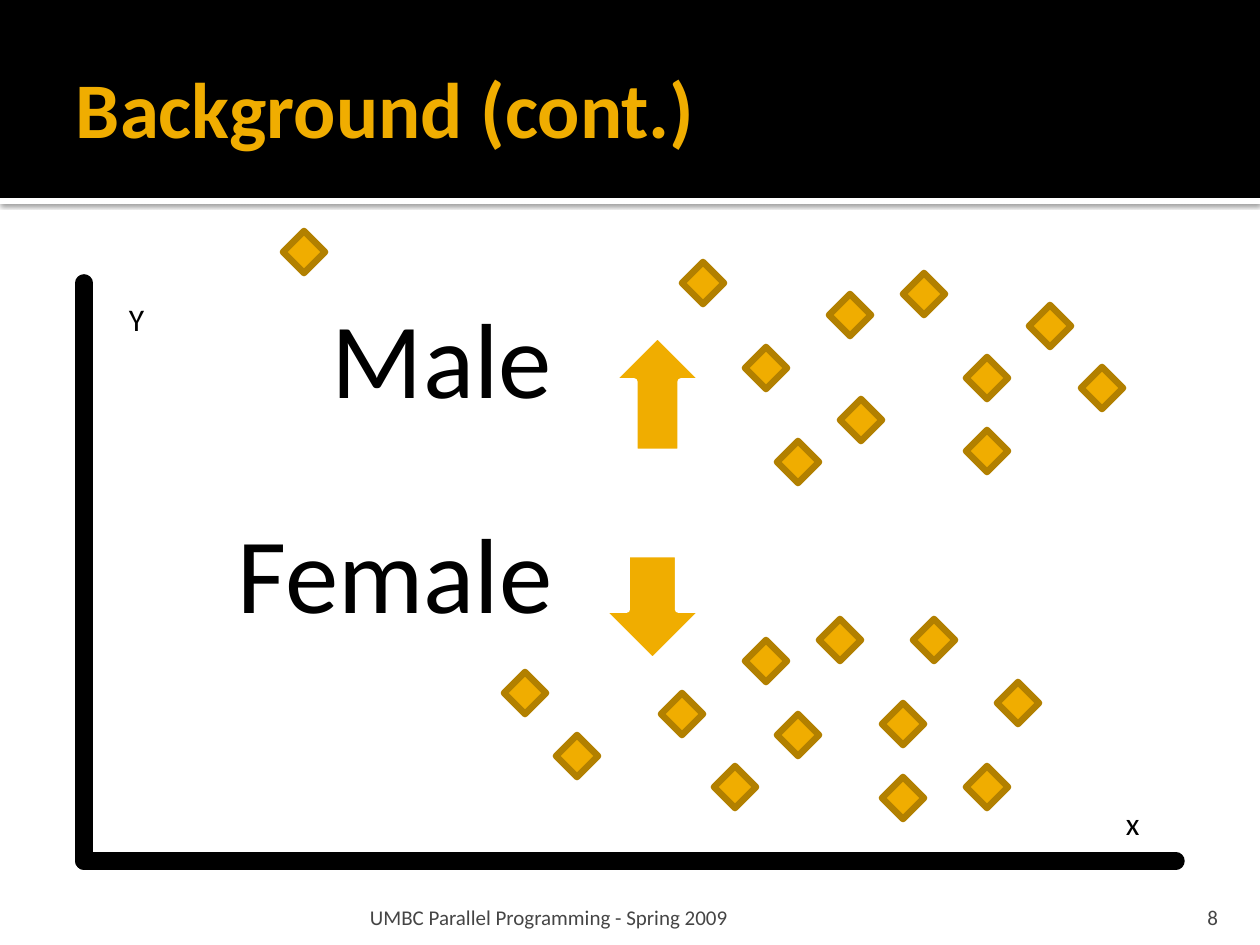
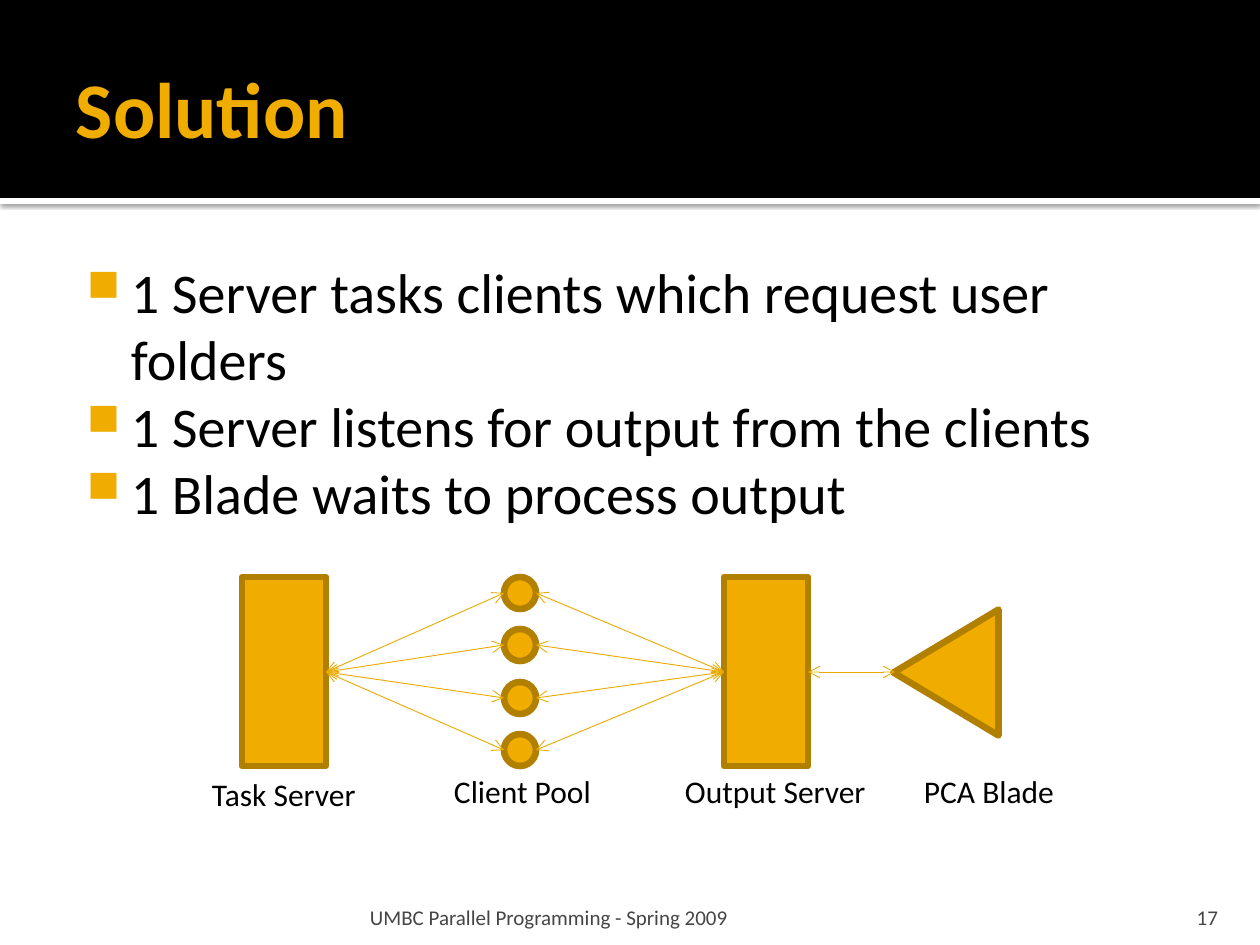
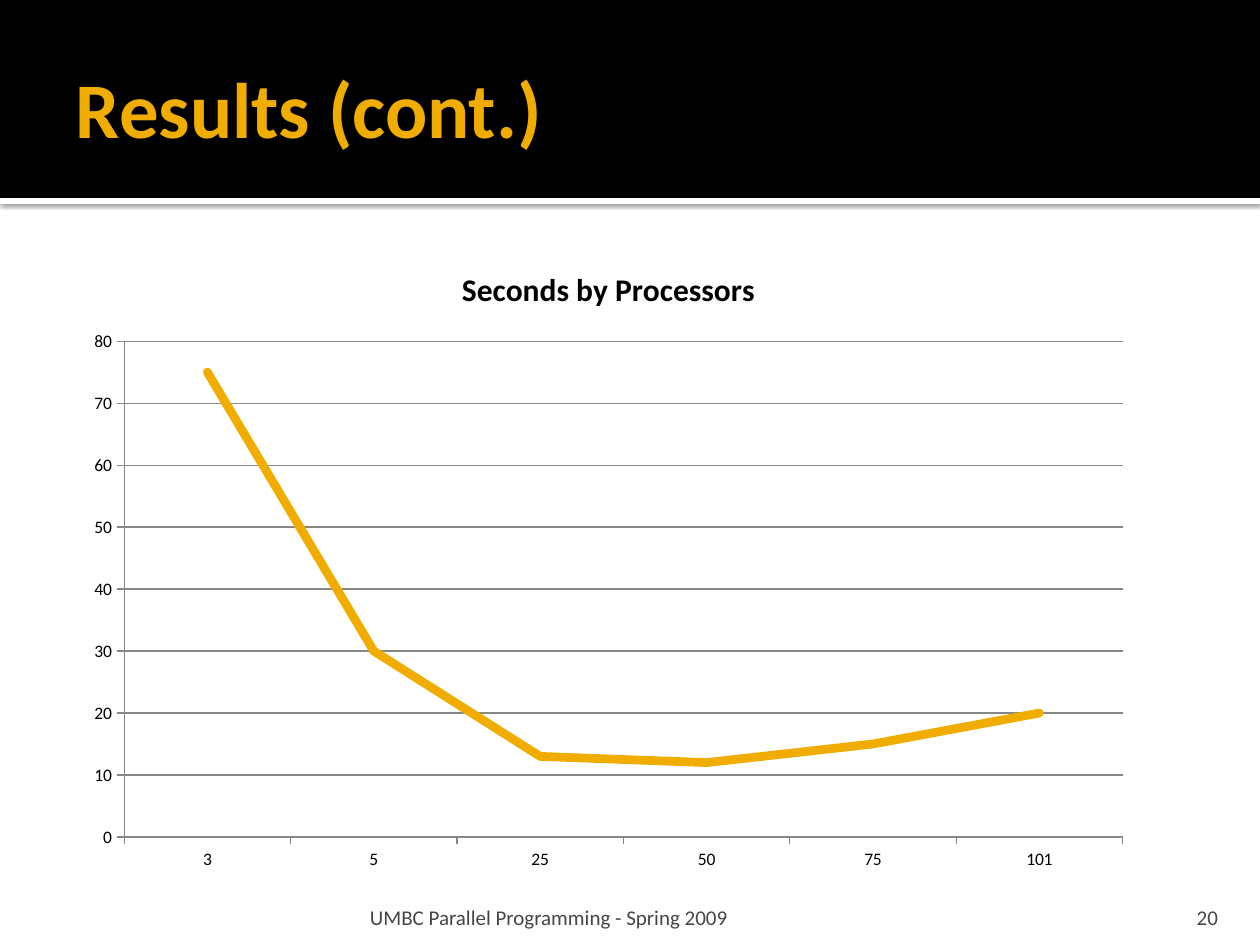
from dataclasses import dataclass
from typing import Optional

from lxml import etree
from pptx import Presentation
from pptx.chart.data import CategoryChartData
from pptx.dml.color import RGBColor
from pptx.enum.chart import XL_CHART_TYPE, XL_MARKER_STYLE, XL_TICK_MARK
from pptx.enum.shapes import MSO_CONNECTOR, MSO_SHAPE
from pptx.enum.text import MSO_ANCHOR, PP_ALIGN
from pptx.oxml.ns import qn
from pptx.util import Emu, Pt

DIAMOND = MSO_SHAPE.DIAMOND
OVAL = MSO_SHAPE.OVAL
RECTANGLE = MSO_SHAPE.RECTANGLE
TRIANGLE = MSO_SHAPE.ISOSCELES_TRIANGLE
UP_ARROW = MSO_SHAPE.UP_ARROW
DOWN_ARROW = MSO_SHAPE.DOWN_ARROW
STRAIGHT = MSO_CONNECTOR.STRAIGHT
TOP, MIDDLE, BOTTOM = MSO_ANCHOR.TOP, MSO_ANCHOR.MIDDLE, MSO_ANCHOR.BOTTOM
LEFT, RIGHT = PP_ALIGN.LEFT, PP_ALIGN.RIGHT
LINE_CHART = XL_CHART_TYPE.LINE
NO_MARKER = XL_MARKER_STYLE.NONE
TICK_OUTSIDE = XL_TICK_MARK.OUTSIDE

PX_PER_INCH = 126
FONT = "Calibri"
FOOTER = "UMBC Parallel Programming - Spring 2009"
OUTLINE_WIDTH = 3.78
COLORS = {
    "black": "000000",
    "white": "FFFFFF",
    "gold": "F0AD00",
    "outline": "B28000",
    "link": "EBA900",
    "footer": "454545",
    "grid": "878787",
}


@dataclass(frozen=True)
class Box:
    left: int
    top: int
    width: int
    height: int


@dataclass(frozen=True)
class Link:
    start: tuple[int, int]
    end: tuple[int, int]


@dataclass(frozen=True)
class Label:
    text: str
    box: Box


@dataclass(frozen=True)
class Direction:
    text: str
    text_box: Box
    arrow: MSO_SHAPE
    arrow_box: Box


DIAMOND_SIZE = 42
MALE_POINTS = [
    (829, 294), (840, 399), (903, 273), (966, 357), (966, 430), (1029, 305),
    (745, 347), (777, 441), (1081, 367), (682, 262), (283, 231),
]
FEMALE_POINTS = [
    (745, 640), (777, 714), (819, 619), (882, 703), (882, 777), (913, 619),
    (661, 693), (504, 672), (966, 766), (997, 682), (556, 735), (714, 766),
]
DIRECTIONS = [
    Direction("Male", Box(273, 294, 447, 198), UP_ARROW, Box(611, 335, 93, 117)),
    Direction("Female", Box(179, 509, 447, 198), DOWN_ARROW, Box(601, 554, 103, 107)),
]
AXES = [Link((84, 283), (84, 861)), Link((84, 861), (1176, 861))]
AXIS_LABELS = [
    Label("x", Box(1113, 798, 40, 50)),
    Label("Y", Box(116, 294, 44, 50)),
]

SOLUTION_POINTS = [
    "1 Server tasks clients which request user folders",
    "1 Server listens for output from the clients",
    "1 Blade waits to process output",
]
TASK_SERVER = Box(242, 577, 84, 189)
OUTPUT_SERVER = Box(724, 577, 84, 189)
CLIENTS = [Box(504, 577 + index * 105 // 2, 32, 32) for index in range(4)]
PCA_BLADE = Box(883, 620, 126, 105)
BLADE_TIP = 895
DIAGRAM_LABELS = [
    Label("Task Server", Box(199, 769, 175, 50)),
    Label("Client Pool", Box(441, 766, 168, 50)),
    Label("Output Server", Box(672, 766, 212, 50)),
    Label("PCA Blade", Box(911, 766, 164, 50)),
]

PROCESSORS = ["3", "5", "25", "50", "75", "101"]
SECONDS = [75, 30, 13, 12, 15, 20]


def px(value: int) -> Emu:
    return Emu(round(value * 914400 / PX_PER_INCH))


def place(box: Box) -> tuple[Emu, Emu, Emu, Emu]:
    return px(box.left), px(box.top), px(box.width), px(box.height)


def rgb(name: str) -> RGBColor:
    return RGBColor.from_string(COLORS[name])


def add_child(parent, tag: str, **attributes: str):
    return etree.SubElement(parent, qn(tag), attributes)


def style_font(font, size: float, color: str, bold: bool = False) -> None:
    font.name = FONT
    font.size = Pt(size)
    font.bold = bold
    font.color.rgb = rgb(color)


def add_bullet(paragraph) -> None:
    properties = paragraph._p.get_or_add_pPr()
    properties.set("marL", str(px(60)))
    properties.set("indent", str(px(-44)))
    bullet_color = add_child(properties, "a:buClr")
    add_child(bullet_color, "a:srgbClr", val=COLORS["gold"])
    add_child(properties, "a:buSzPct", val="80000")
    add_child(properties, "a:buChar", char="■")


def add_text(
    slide,
    text: str,
    box: Box,
    *,
    size: float = 18,
    color: str = "black",
    bold: bool = False,
    align: PP_ALIGN = LEFT,
    anchor: MSO_ANCHOR = TOP,
    insets: tuple[int, int, int, int] = (13, 6, 13, 6),
    wrap: bool = True,
    line_spacing: Optional[float] = None,
    bullets: bool = False,
) -> None:
    frame = slide.shapes.add_textbox(*place(box)).text_frame
    frame.word_wrap = wrap
    frame.vertical_anchor = anchor
    frame.margin_left, frame.margin_top, frame.margin_right, frame.margin_bottom = map(px, insets)
    frame.text = text
    for paragraph in frame.paragraphs:
        paragraph.alignment = align
        if line_spacing:
            paragraph.line_spacing = line_spacing
        if bullets:
            add_bullet(paragraph)
        style_font(paragraph.runs[0].font, size, color, bold)


def add_labels(slide, labels: list[Label]) -> None:
    for label in labels:
        add_text(slide, label.text, label.box, wrap=False)


def add_figure(
    slide,
    kind: MSO_SHAPE,
    box: Box,
    *,
    fill: str = "gold",
    outline: Optional[str] = "outline",
    rotation: int = 0,
):
    shape = slide.shapes.add_shape(kind, *place(box))
    shape.rotation = rotation
    shape.fill.solid()
    shape.fill.fore_color.rgb = rgb(fill)
    if outline:
        shape.line.color.rgb = rgb(outline)
        shape.line.width = Pt(OUTLINE_WIDTH)
        add_child(shape.element.spPr.find(qn("a:ln")), "a:round")
    else:
        shape.line.fill.background()
    shape.shadow.inherit = False
    return shape


def add_line(slide, link: Link, *, color: str, width: float, arrows: bool = False) -> None:
    connector = slide.shapes.add_connector(
        STRAIGHT, *map(px, link.start), *map(px, link.end)
    )
    connector.line.color.rgb = rgb(color)
    connector.line.width = Pt(width)
    properties = connector._element.spPr
    line = properties.find(qn("a:ln"))
    add_child(line, "a:round")
    if arrows:
        add_child(line, "a:headEnd", type="arrow")
        add_child(line, "a:tailEnd", type="arrow")
    else:
        line.set("cap", "rnd")
    add_child(properties, "a:effectLst")


def add_strip_shadow(strip) -> None:
    effects = strip.element.spPr.find(qn("a:effectLst"))
    shadow = add_child(
        effects,
        "a:outerShdw",
        blurRad=str(Pt(2.5)),
        dist=str(Pt(0.8)),
        dir="5400000",
        algn="tl",
        rotWithShape="0",
    )
    shadow_color = add_child(shadow, "a:srgbClr", val=COLORS["black"])
    add_child(shadow_color, "a:alpha", val="60000")


def start_slide(presentation, title: str, number: int):
    slide = presentation.slides.add_slide(presentation.slide_layouts[6])
    strip = add_figure(slide, RECTANGLE, Box(0, 198, 1260, 6), fill="white", outline=None)
    add_strip_shadow(strip)
    add_figure(slide, RECTANGLE, Box(0, 0, 1260, 198), fill="black", outline=None)
    add_text(
        slide, title, Box(63, 21, 1134, 173), size=45, color="gold", bold=True,
        anchor=MIDDLE, insets=(13, 6, 6, 6),
    )
    add_text(
        slide, FOOTER, Box(364, 892, 759, 38), size=12, color="footer",
        anchor=BOTTOM, insets=(6, 6, 6, 0),
    )
    add_text(
        slide, str(number), Box(1130, 892, 101, 38), size=12, color="footer",
        align=RIGHT, anchor=BOTTOM, insets=(13, 6, 13, 0),
    )
    return slide


def build_background(presentation) -> None:
    slide = start_slide(presentation, "Background (cont.)", 8)
    for direction in DIRECTIONS:
        add_figure(slide, direction.arrow, direction.arrow_box, outline="white")
        add_text(
            slide, direction.text, direction.text_box, size=61, anchor=MIDDLE,
            insets=(59, 0, 59, 59), line_spacing=0.9,
        )
    for axis in AXES:
        add_line(slide, axis, color="black", width=10)
    add_labels(slide, AXIS_LABELS)
    for left, top in MALE_POINTS + FEMALE_POINTS:
        add_figure(slide, DIAMOND, Box(left, top, DIAMOND_SIZE, DIAMOND_SIZE))


def build_solution(presentation) -> None:
    slide = start_slide(presentation, "Solution", 17)
    add_text(
        slide, "\n".join(SOLUTION_POINTS), Box(63, 244, 1134, 638), size=32,
        insets=(8, 13, 13, 6), bullets=True,
    )
    for client in CLIENTS:
        add_figure(slide, OVAL, client)
    for server in (OUTPUT_SERVER, TASK_SERVER):
        add_figure(slide, RECTANGLE, server)
    add_figure(slide, TRIANGLE, PCA_BLADE, rotation=270)

    middle = TASK_SERVER.top + TASK_SERVER.height // 2 + 1
    task_port = (TASK_SERVER.left + TASK_SERVER.width, middle)
    output_port = (OUTPUT_SERVER.left, middle)
    links = [Link((OUTPUT_SERVER.left + OUTPUT_SERVER.width, middle), (BLADE_TIP, middle))]
    for client in CLIENTS:
        center = client.top + client.height // 2
        links.append(Link(task_port, (client.left, center)))
        links.append(Link((client.left + client.width, center), output_port))
    for link in links:
        add_line(slide, link, color="link", width=0.5, arrows=True)
    add_labels(slide, DIAGRAM_LABELS)


def build_results(presentation) -> None:
    slide = start_slide(presentation, "Results (cont.)", 20)
    data = CategoryChartData()
    data.categories = PROCESSORS
    data.add_series("Series 1", SECONDS)
    chart = slide.shapes.add_chart(LINE_CHART, *place(Box(73, 242, 1071, 640)), data).chart
    style_font(chart.font, 10, "black")
    chart.has_legend = False
    chart.has_title = True
    title_frame = chart.chart_title.text_frame
    title_frame.text = "Seconds by Processors"
    style_font(title_frame.paragraphs[0].runs[0].font, 18, "black", bold=True)
    chart.chart_title.include_in_layout = False

    chart.value_axis.has_major_gridlines = True
    chart.value_axis.minimum_scale = 0
    chart.value_axis.maximum_scale = 80
    chart.value_axis.major_unit = 10
    for axis in (chart.category_axis, chart.value_axis):
        axis.major_tick_mark = TICK_OUTSIDE
        axis.format.line.color.rgb = rgb("grid")
        axis.format.line.width = Pt(0.75)
    gridlines = chart.value_axis.major_gridlines.format.line
    gridlines.color.rgb = rgb("grid")
    gridlines.width = Pt(0.75)

    plot = chart.plots[0]
    plot.vary_by_categories = False
    series = plot.series[0]
    series.smooth = False
    series.marker.style = NO_MARKER
    series.format.line.color.rgb = rgb("gold")
    series.format.line.width = Pt(5)
    line = series.format.line._ln
    line.set("cap", "rnd")
    add_child(line, "a:round")


def main() -> None:
    presentation = Presentation()
    presentation.slide_width = px(1260)
    presentation.slide_height = px(945)
    build_background(presentation)
    build_solution(presentation)
    build_results(presentation)
    presentation.save("out.pptx")


if __name__ == "__main__":
    main()
